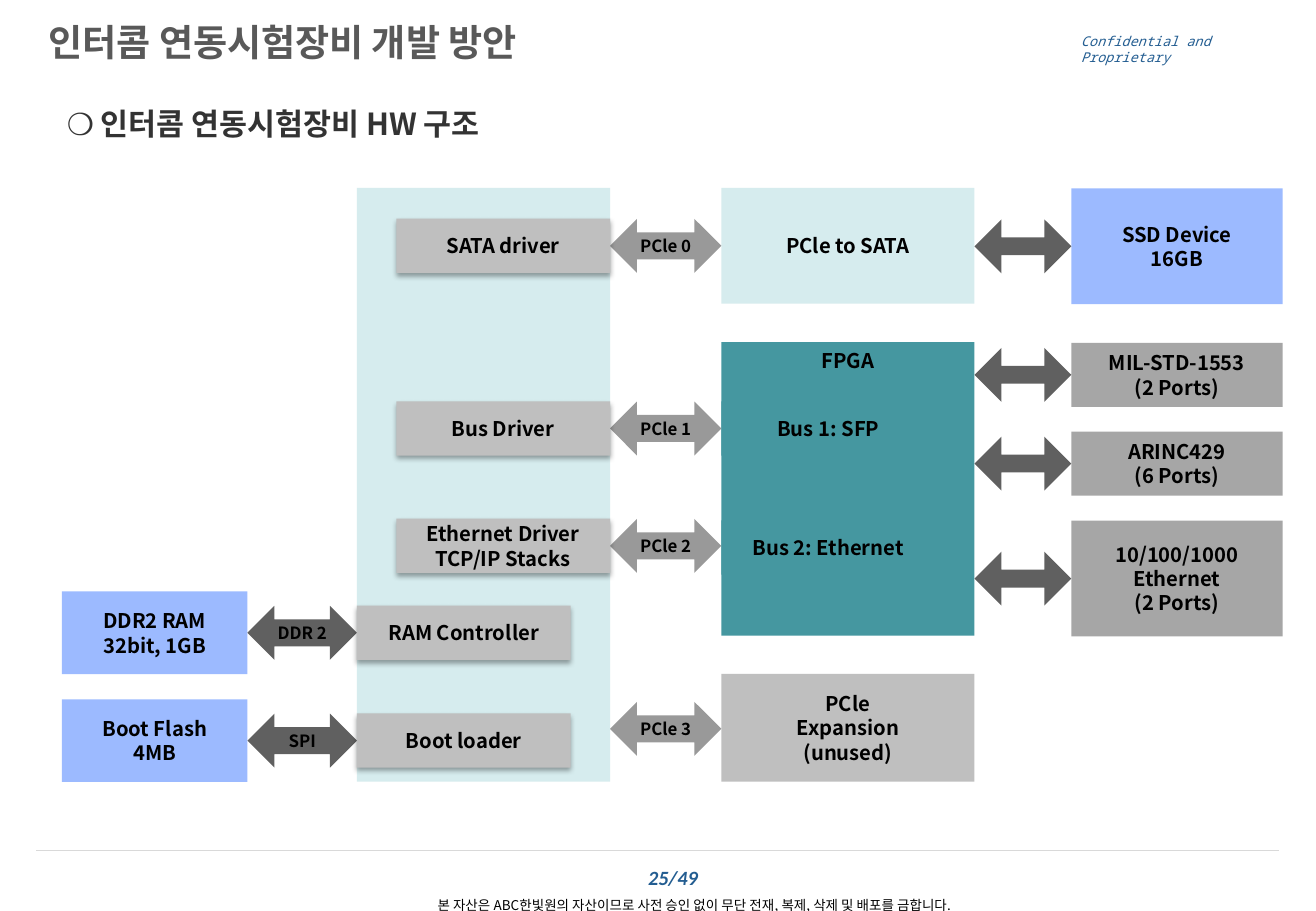
import pptx
import pptx.dml.color
import pptx.enum.shapes
import pptx.enum.text
import pptx.oxml
import pptx.oxml.ns
import pptx.util

Pt = pptx.util.Pt
SHAPE = pptx.enum.shapes.MSO_SHAPE
ALIGN = pptx.enum.text.PP_ALIGN
ANCHOR = pptx.enum.text.MSO_ANCHOR
KOREAN = "Noto Sans CJK KR"

BLACK, PALE, TEAL, BLUE = "000000", "D6ECEE", "4597A0", "9CBAFF"
SILVER, GRAY, MID_GRAY, DARK_GRAY = "BFBFBF", "A6A6A6", "999999", "606060"
NAVY = "235D91"

MEMORY, PROCESSOR, BRIDGE, DEVICE = (36.7, 110), (211.6, 150), (427.6, 150), (635, 125.2)
MODULE_WIDTH, MODULE_HEIGHT, ARROW_HEIGHT = 126.7, 32.2, 32
SATA_Y, BUS_Y, ETHERNET_Y, RAM_Y, BOOT_Y, EXPANSION_Y = 145.7, 254, 323.6, 375.1, 439, 432

TEXTS = [
    ("인터콤 연동시험장비 개발 방안", (21.6, 8, 384, 36.7),
     dict(size=22, color="595959", bold=True, anchor=ANCHOR.TOP)),
    ("❍ 인터콤 연동시험장비 HW 구조", (32.6, 48, 743, 50),
     dict(size=18, color="333333", bold=True)),
    ("Confidential and Proprietary", (633.6, 20.3, 124.6, 18),
     dict(size=8, color=NAVY, italic=True, font="Noto Sans Mono")),
    ("25/49", (367.2, 504, 63.4, 32.4),
     dict(size=12, color=NAVY, bold=True, italic=True, font="Calibri", align=ALIGN.CENTER)),
    ("본 자산은 ABC한빛원의 자산이므로 사전 승인 없이 무단 전재, 복제, 삭제 및 배포를 금합니다.",
     (183.6, 527.6, 455.8, 17.3), dict(size=8, align=ALIGN.CENTER)),
]

BLOCKS = [
    ("", PROCESSOR, 287.4, 352, PALE),
    ("PCle to SATA", BRIDGE, SATA_Y, 68.6, PALE),
    ("FPGA", BRIDGE, 289.8, 174, TEAL),
    ("PCle\nExpansion\n(unused)", BRIDGE, 431.4, 64, SILVER),
    ("DDR2 RAM\n32bit, 1GB", MEMORY, RAM_Y, 49, BLUE),
    ("Boot Flash\n4MB", MEMORY, BOOT_Y, 49, BLUE),
]

DEVICES = [
    ("SSD Device\n16GB", 146, 68.6, BLUE),
    ("MIL-STD-1553\n(2 Ports)", 222.2, 38, GRAY),
    ("ARINC429\n(6 Ports)", 274.8, 38, GRAY),
    ("10/100/1000\nEthernet\n(2 Ports)", 343, 68.6, GRAY),
]

LINKS = [
    ("DDR 2", MEMORY, PROCESSOR, RAM_Y, DARK_GRAY),
    ("SPI", MEMORY, PROCESSOR, BOOT_Y, DARK_GRAY),
    ("PCle 0", PROCESSOR, BRIDGE, SATA_Y, MID_GRAY),
    ("PCle 1", PROCESSOR, BRIDGE, BUS_Y, MID_GRAY),
    ("PCle 2", PROCESSOR, BRIDGE, ETHERNET_Y, MID_GRAY),
    ("PCle 3", PROCESSOR, BRIDGE, EXPANSION_Y, MID_GRAY),
]

DRIVERS = [
    ("SATA driver", SATA_Y),
    ("Bus Driver", BUS_Y),
    ("Ethernet Driver\nTCP/IP Stacks", ETHERNET_Y),
]
CONTROLLERS = [("RAM Controller", RAM_Y), ("Boot loader", BOOT_Y)]
BUSES = [("Bus 1: SFP", BUS_Y), ("Bus 2: Ethernet", ETHERNET_Y + 1)]

presentation = pptx.Presentation()
presentation.slide_width, presentation.slide_height = Pt(780), Pt(540)
slide = presentation.slides.add_slide(presentation.slide_layouts[6])


def rgb(color):
    return pptx.dml.color.RGBColor.from_string(color)


def write(shape, text, size=12, color=BLACK, bold=False, italic=False, font=KOREAN,
          align=ALIGN.LEFT, anchor=ANCHOR.MIDDLE, wrap=True):
    frame = shape.text_frame
    frame.word_wrap = wrap
    frame.vertical_anchor = anchor
    paragraph = frame.paragraphs[0]
    paragraph.text = text
    paragraph.alignment = align
    paragraph.line_spacing = Pt(size * 1.2)
    paragraph.font.size = Pt(size)
    paragraph.font.bold = bold
    paragraph.font.italic = italic
    paragraph.font.color.rgb = rgb(color)
    paragraph.font.name = font
    latin = paragraph._p.pPr.find(".//" + pptx.oxml.ns.qn("a:latin"))
    latin.addnext(pptx.oxml.parse_xml(
        f'<a:ea {pptx.oxml.ns.nsdecls("a")} typeface="{font}"/>'))


def add_block(text, left, middle, width, height, color, kind=SHAPE.RECTANGLE, size=12,
              anchor=ANCHOR.MIDDLE):
    shape = slide.shapes.add_shape(
        kind, Pt(left), Pt(middle - height / 2), Pt(width), Pt(height))
    shape.shadow.inherit = False
    shape.fill.solid()
    shape.fill.fore_color.rgb = rgb(color)
    shape.line.fill.background()
    if text:
        write(shape, text, size=size, bold=True, align=ALIGN.CENTER, anchor=anchor, wrap=False)
    return shape


def add_link(text, start, end, middle, color):
    left = start[0] + start[1]
    return add_block(text, left, middle, end[0] - left, ARROW_HEIGHT, color,
                     SHAPE.LEFT_RIGHT_ARROW, 10)


def add_module(text, left, middle):
    shape = add_block(text, left, middle, MODULE_WIDTH, MODULE_HEIGHT, SILVER)
    effects = shape._element.spPr.find(pptx.oxml.ns.qn("a:effectLst"))
    effects.append(pptx.oxml.parse_xml(
        f'<a:outerShdw {pptx.oxml.ns.nsdecls("a")} blurRad="{Pt(3.1)}" dist="{Pt(1.8)}" '
        'dir="5400000" rotWithShape="0"><a:srgbClr val="000000">'
        '<a:alpha val="35000"/></a:srgbClr></a:outerShdw>'))


rule = slide.shapes.add_connector(
    pptx.enum.shapes.MSO_CONNECTOR.STRAIGHT, Pt(21.6), Pt(504), Pt(758.2), Pt(504))
rule.line.color.rgb = rgb("D9D9D9")
rule.line.width = Pt(0.25)
rule._element.spPr.append(pptx.oxml.parse_xml(
    f'<a:effectLst {pptx.oxml.ns.nsdecls("a")}/>'))

for text, box, style in TEXTS:
    write(slide.shapes.add_textbox(*map(Pt, box)), text, **style)

for text, (left, width), middle, height, color in BLOCKS:
    anchor = ANCHOR.TOP if text == "FPGA" else ANCHOR.MIDDLE
    add_block(text, left, middle, width, height, color, anchor=anchor)

for text, middle, height, color in DEVICES:
    add_block(text, DEVICE[0], middle, DEVICE[1], height, color)
    arrow = add_link("", BRIDGE, DEVICE, middle, DARK_GRAY)
    arrow.adjustments[0] = 0.33

for link in LINKS:
    add_link(*link)

for text, middle in DRIVERS:
    add_module(text, sum(PROCESSOR) - MODULE_WIDTH, middle)
for text, middle in CONTROLLERS:
    add_module(text, PROCESSOR[0], middle)
for text, middle in BUSES:
    add_block(text, BRIDGE[0], middle, MODULE_WIDTH, MODULE_HEIGHT, TEAL)

presentation.save("out.pptx")
